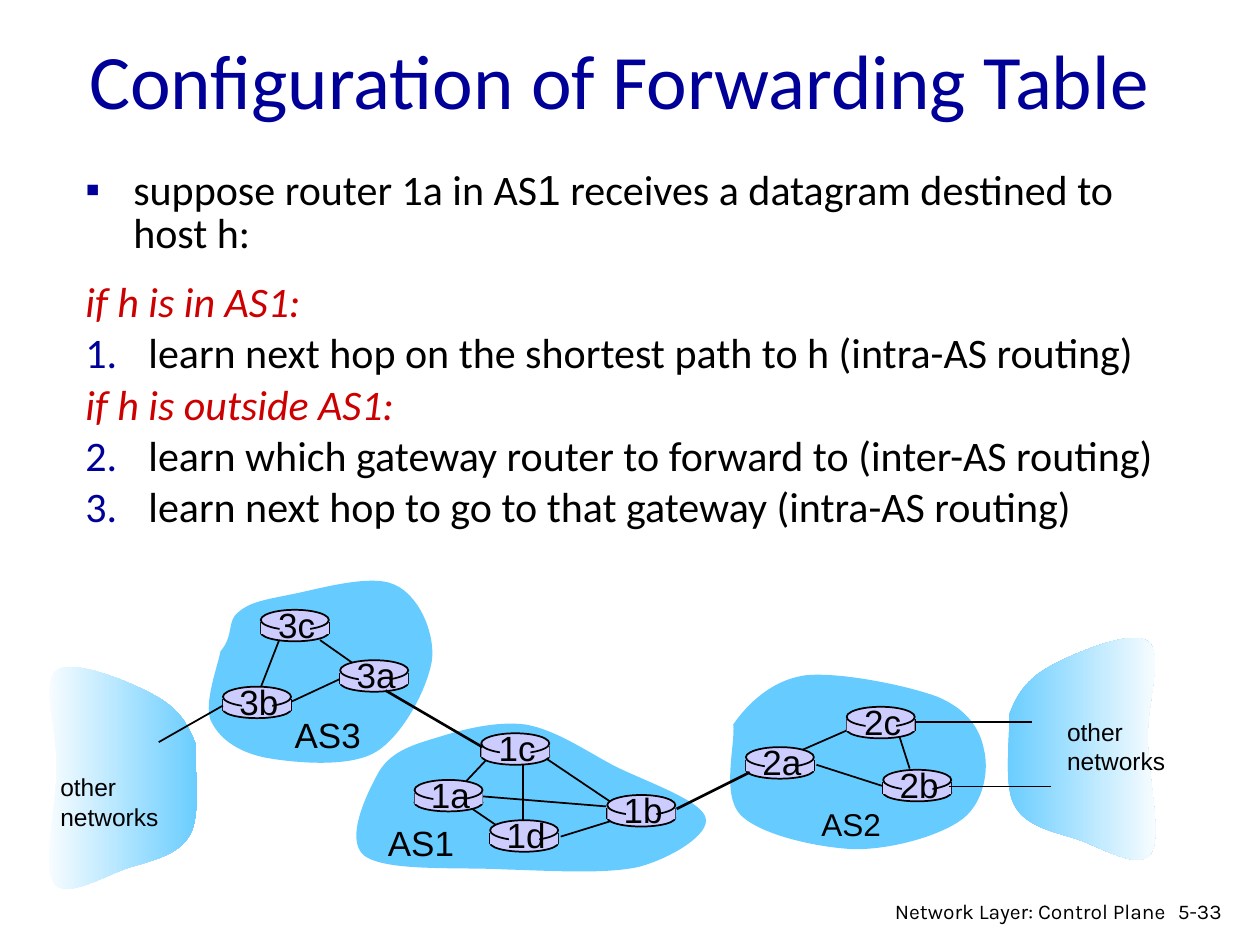
from lxml import etree
from pptx import Presentation
from pptx.dml.color import RGBColor
from pptx.enum.shapes import MSO_CONNECTOR, MSO_SHAPE
from pptx.enum.text import MSO_ANCHOR, PP_ALIGN
from pptx.oxml.ns import qn
from pptx.util import Cm, Pt

OVAL, RECT = MSO_SHAPE.OVAL, MSO_SHAPE.RECTANGLE
STRAIGHT = MSO_CONNECTOR.STRAIGHT
LEFT, CENTER, RIGHT = PP_ALIGN.LEFT, PP_ALIGN.CENTER, PP_ALIGN.RIGHT
TOP, MIDDLE = MSO_ANCHOR.TOP, MSO_ANCHOR.MIDDLE

CM_PER_UNIT = 2.54
COLORS = {"navy": "000099", "red": "CC0000", "black": "000000",
          "cloud": "66CCFF", "router": "CCCCFF", "white": "FFFFFF"}

TITLE = "Configuration of Forwarding Table"
INTRO = [("suppose router 1a in AS", "Calibri"), ("1", "Arial"),
         (" receives a datagram destined to host h:", "Calibri")]
STEPS = [
    (None, "if h is in AS1:"),
    (1, "learn next hop on the shortest path to h (intra-AS routing)"),
    (None, "if h is outside AS1:"),
    (2, "learn which gateway router to forward to (inter-AS routing)"),
    (3, "learn next hop to go to that gateway (intra-AS routing)"),
]
LABELS = [
    ("AS3", (2.24, 5.61, 0.73, 0.43), 20),
    ("AS2", (6.42, 6.34, 0.67, 0.4), 18),
    ("AS1", (2.98, 6.47, 0.73, 0.43), 20),
    ("other\nnetworks", (8.37, 5.64, 0.98, 0.57), 14),
    ("other\nnetworks", (0.38, 6.08, 0.98, 0.57), 14),
]
OTHER_NETWORK = [
    (8.01, 5.67), (8.07, 5.51), (8.15, 5.39), (8.33, 5.29),
    (8.51, 5.19), (8.98, 4.99), (9.11, 5.09), (9.24, 5.18), (9.1, 5.59),
    (9.11, 5.87), (9.11, 6.16), (9.23, 6.65), (9.13, 6.78),
    (9.04, 6.91), (8.73, 6.72), (8.55, 6.66), (8.36, 6.6), (8.14, 6.56),
    (8.05, 6.39), (7.96, 6.23), (8.02, 5.82), (8.01, 5.67),
]
MIRROR_SUM, MIRROR_DROP = 9.56, 0.23
SYSTEMS = {
    "AS2": [
        (5.82, 5.75), (5.93, 5.59), (6.12, 5.4), (6.39, 5.36),
        (6.66, 5.33), (7.2, 5.44), (7.44, 5.53), (7.68, 5.63), (7.78, 5.79),
        (7.81, 5.95), (7.85, 6.11), (7.81, 6.37), (7.64, 6.5),
        (7.47, 6.63), (7.09, 6.74), (6.79, 6.74), (6.5, 6.73), (6.04, 6.63),
        (5.88, 6.47), (5.72, 6.31), (5.84, 5.9), (5.82, 5.75)],
    "AS3": [
        (1.75, 5.17), (1.86, 5.04), (1.8, 4.93), (1.89, 4.86),
        (1.98, 4.78), (2.1, 4.76), (2.3, 4.72), (2.51, 4.68), (2.94, 4.55),
        (3.13, 4.64), (3.32, 4.72), (3.45, 5.01), (3.43, 5.23),
        (3.4, 5.45), (3.2, 5.84), (2.98, 5.97), (2.76, 6.1), (2.3, 6.05),
        (2.09, 6.01), (1.87, 5.96), (1.73, 5.85), (1.67, 5.71),
        (1.62, 5.57), (1.73, 5.28), (1.75, 5.17)],
    "AS1": [
        (3.01, 6.12), (3.11, 5.96), (3.28, 5.91), (3.48, 5.85),
        (3.67, 5.79), (3.94, 5.72), (4.17, 5.75), (4.4, 5.79), (4.62, 5.94),
        (4.86, 6.07), (5.09, 6.19), (5.57, 6.35), (5.6, 6.49),
        (5.64, 6.62), (5.33, 6.81), (5.07, 6.88), (4.8, 6.94), (4.36, 6.91),
        (4, 6.9), (3.64, 6.88), (3.06, 6.92), (2.89, 6.79),
        (2.73, 6.66), (2.92, 6.28), (3.01, 6.12)],
}
ROUTERS = {"3b": (1.77, 5.45), "3c": (2.07, 4.84), "3a": (2.7, 5.24),
           "1c": (3.82, 5.82), "1a": (3.29, 6.19), "1d": (3.89, 6.51),
           "1b": (4.82, 6.31), "2a": (5.92, 5.93), "2c": (6.72, 5.61),
           "2b": (7.01, 6.11)}
INNER_LINKS = [
    (2.31, 5.57, 2.74, 5.37), (2.81, 5.27, 2.54, 5.08),
    (2.22, 5.07, 2.06, 5.48), (3.87, 6.02, 3.7, 6.2),
    (4.15, 6.06, 4.15, 6.56), (4.32, 6.01, 4.87, 6.38),
    (4.87, 6.51, 4.45, 6.64), (4.81, 6.4, 3.82, 6.32),
    (3.72, 6.4, 3.94, 6.55), (6.28, 5.99, 6.76, 5.78),
    (6.48, 6.07, 7.01, 6.24), (7.14, 5.85, 7.22, 6.1),
]
OUTER_LINKS = [
    ((7.26, 5.73, 8.19, 5.73), 0.75), ((7.53, 6.24, 8.34, 6.24), 0.75),
    ((1.77, 5.6, 1.26, 5.89), 1), ((5.37, 6.42, 5.95, 6.13), 1.5),
    ((3.06, 5.48, 3.83, 5.93), 1.5),
]


def cm(*values):
    return [Cm(v * CM_PER_UNIT) for v in values]


def rgb(name):
    return RGBColor.from_string(COLORS[name])


def add_run(p, text, size=20, font="Arial", color="black", italic=False):
    r = p.add_run()
    r.text = text
    r.font.size, r.font.name, r.font.italic = Pt(size), font, italic
    r.font.color.rgb = rgb(color)


def add_text(shapes, text, box, align=LEFT, anchor=TOP, wrap=False, **fmt):
    tf = shapes.add_textbox(*cm(*box)).text_frame
    tf.word_wrap, tf.vertical_anchor = wrap, anchor
    for i, line in enumerate(text.split("\n") if text else []):
        p = tf.add_paragraph() if i else tf.paragraphs[0]
        p.alignment = align
        add_run(p, line, **fmt)
    return tf


def set_list(p, indent, number=None, char=None):
    p.line_spacing = 0.85
    pPr = p._p.get_or_add_pPr()
    before = etree.SubElement(pPr, qn("a:spcBef"))
    etree.SubElement(before, qn("a:spcPct"), val="20000")
    width = cm(indent)[0]
    pPr.set("marL", str(width))
    pPr.set("indent", str(-width))
    if not (number or char):
        return
    clr = etree.SubElement(pPr, qn("a:buClr"))
    etree.SubElement(clr, qn("a:srgbClr"), val=COLORS["navy"])
    if char:
        etree.SubElement(pPr, qn("a:buFont"), typeface="Arial")
        etree.SubElement(pPr, qn("a:buChar"), char=char)
    else:
        etree.SubElement(pPr, qn("a:buAutoNum"), type="arabicPeriod", startAt=str(number))


def add_line(shapes, ends, width=1):
    s = shapes.add_connector(STRAIGHT, *cm(*ends))
    s.line.color.rgb, s.line.width = rgb("black"), Pt(width)
    etree.SubElement(s._element.spPr, qn("a:effectLst"))


def add_part(shapes, kind, box, outlined=False):
    s = shapes.add_shape(kind, *cm(*box))
    s.shadow.inherit = False
    s.fill.solid()
    s.fill.fore_color.rgb = rgb("router")
    if outlined:
        s.line.color.rgb, s.line.width = rgb("black"), Pt(1)
    else:
        s.line.fill.background()


def bend(s):
    segments = list(s._element.iter(qn("a:lnTo")))
    for i in range(0, len(segments), 3):
        curve = etree.Element(qn("a:cubicBezTo"))
        segments[i].addprevious(curve)
        for segment in segments[i:i + 3]:
            curve.append(segment[0])
            segment.getparent().remove(segment)


def add_cloud(shapes, points, gradient=None):
    fb = shapes.build_freeform(*cm(*points[0]))
    fb.add_line_segments([cm(*point) for point in points[1:]], close=True)
    s = fb.convert_to_shape()
    bend(s)
    s.shadow.inherit = False
    s.line.fill.background()
    if gradient:
        s.fill.gradient()
        s.fill.gradient_angle = 0
        for stop, name in zip(s.fill.gradient_stops, gradient):
            stop.color.rgb = rgb(name)
    else:
        s.fill.solid()
        s.fill.fore_color.rgb = rgb("cloud")


def add_router(shapes, name, x, y):
    group = shapes.add_group_shape().shapes
    add_part(group, OVAL, (x, y + 0.11, 0.54, 0.14), outlined=True)
    for side in (x, x + 0.54):
        add_line(group, (side, y + 0.1, side, y + 0.19))
    add_part(group, RECT, (x, y + 0.1, 0.54, 0.09))
    add_part(group, OVAL, (x, y, 0.54, 0.16), outlined=True)
    add_part(group, RECT, (x + 0.15, y + 0.02, 0.24, 0.2))
    add_text(group, name, (x + 0.03, y - 0.1, 0.51, 0.43), align=CENTER)


def main():
    prs = Presentation()
    prs.slide_width, prs.slide_height = Cm(25.4), Cm(19.05)
    shapes = prs.slides.add_slide(prs.slide_layouts[6]).shapes

    add_text(shapes, TITLE, (0.61, 0, 9.39, 1.25), anchor=MIDDLE, wrap=True,
             size=44, font="Calibri", color="navy")
    p = add_text(shapes, "", (0.58, 1.31, 8.77, 3.19), wrap=True).paragraphs[0]
    set_list(p, 0.38, char="▪")
    for text, font in INTRO:
        add_run(p, text, size=24, font=font)
    tf = add_text(shapes, "", (0.58, 2.2, 9.13, 4.2), wrap=True)
    for i, (number, text) in enumerate(STEPS):
        p = tf.add_paragraph() if i else tf.paragraphs[0]
        set_list(p, 0.5, number=number)
        add_run(p, text, size=24, font="Calibri",
                color="black" if number else "red", italic=not number)

    add_cloud(shapes, OTHER_NETWORK, ("cloud", "white"))
    mirrored = [(MIRROR_SUM - x, y + MIRROR_DROP) for x, y in OTHER_NETWORK]
    add_cloud(shapes, mirrored, ("white", "cloud"))
    for points in SYSTEMS.values():
        add_cloud(shapes, points)
    for ends in INNER_LINKS:
        add_line(shapes, ends)
    for name, (x, y) in ROUTERS.items():
        add_router(shapes, name, x, y)
    for ends, width in OUTER_LINKS:
        add_line(shapes, ends, width)
    for text, box, size in LABELS:
        add_text(shapes, text, box, size=size)

    add_text(shapes, "5-33", (9.25, 7.08, 0.6, 0.3), wrap=True, size=12, font="Karla")
    add_text(shapes, "Network Layer: Control Plane", (6.97, 7.08, 2.38, 0.26),
             align=RIGHT, wrap=True, size=12, font="Karla")
    prs.save("out.pptx")


if __name__ == "__main__":
    main()
